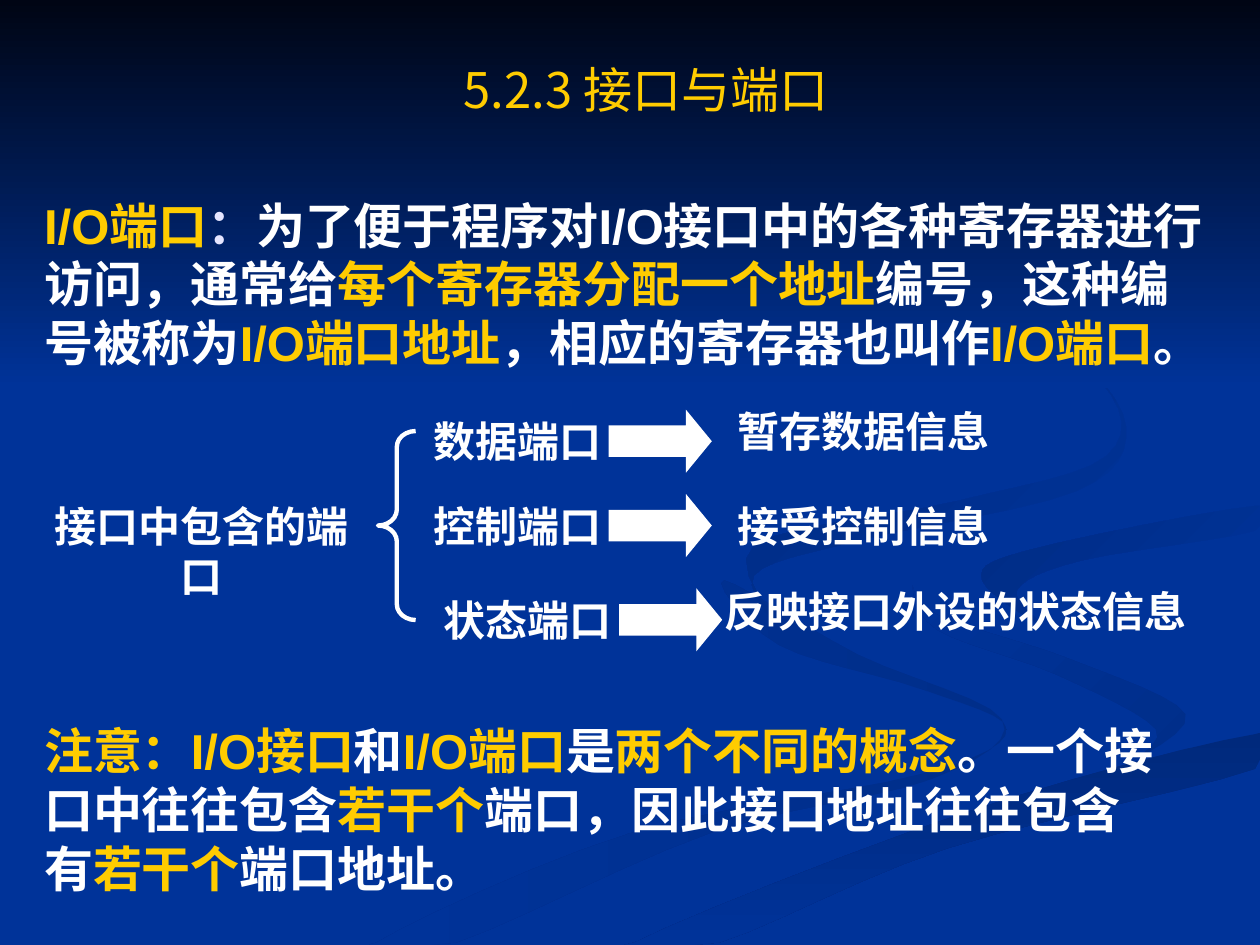
from pptx import Presentation
from pptx.dml.color import RGBColor
from pptx.enum.shapes import MSO_SHAPE
from pptx.enum.text import MSO_AUTO_SIZE, PP_ALIGN
from pptx.util import Cm, Pt

BLUE, GOLD, WHITE, PALE = "003399", "FFCC00", "FFFFFF", "E5E5FF"
SLIDE_BOX = (0, 0, 25.4, 19.05)
CURVE_STEPS = 6

# Each ribbon: gradient start, gradient end, clockwise angle, outline in millimetres
RIBBONS = [
    ("002E8A", BLUE, 180, [
        (146, 117), (157, 130), (186, 139), (203, 147), (186, 156), (127, 168),
        (76, 190), (92, 190), (143, 168), (188, 157), (202, 145), (173, 132)]),
    ("002E8A", BLUE, 225, [
        (184, 118), (189, 127), (213, 136), (233, 147), (227, 154), (239, 144),
        (216, 133), (189, 124)]),
    ("00297C", BLUE, 90, [
        (128, 190), (145, 190), (191, 171), (253, 155), (253, 148), (194, 164)]),
    (BLUE, "002C85", 225, [
        (198, 117), (210, 126), (205, 119), (218, 113), (253, 107), (253, 102),
        (207, 111)]),
    (BLUE, "002B81", 225, [
        (173, 109), (217, 99), (227, 86), (215, 70), (194, 59), (222, 77),
        (223, 92), (193, 101), (152, 110), (158, 127), (152, 116)]),
]

DEFINITION = [
    ("I/O端口", GOLD), ("：", PALE),
    ("为了便于程序对I/O接口中的各种寄存器进行访问，通常给", WHITE),
    ("每个寄存器分配一个地址", GOLD), ("编号，这种编号被称为", WHITE),
    ("I/O端口地址", GOLD), ("，相应的寄存器也叫作", WHITE),
    ("I/O端口", GOLD), ("。", WHITE)]

CAUTION = [
    ("注意：I/O接口", GOLD), ("和", WHITE), ("I/O端口", GOLD), ("是", WHITE),
    ("两个不同的概念", GOLD), ("。一个接口中往往包含", WHITE), ("若干个", GOLD),
    ("端口，因此接口地址往往包含有", WHITE), ("若干个", GOLD), ("端口地址。", WHITE)]

# Port, row top, shift of port and arrow, meaning, its left, top and width
PORTS = [
    ("数据端口", 0.21, 0, "暂存数据信息", 13.24, 0, 7.49),
    ("控制端口", 1.91, 0, "接受控制信息", 13.24, 1.91, 7.49),
    ("状态端口", 3.81, 0.21, "反映接口外设的状态信息", 12.98, 3.63, 11.71)]


def color(value):
    return RGBColor.from_string(value)


def fill_gradient(shape, start, end, angle):
    shape.fill.gradient()
    shape.fill.gradient_angle = (360 - angle) % 360
    for stop, value, position in zip(shape.fill.gradient_stops, (start, end), (0, 1)):
        stop.color.rgb = color(value)
        stop.position = position
    shape.line.fill.background()


def smooth_outline(points, limits):
    def blend(a, b, c, d, t):
        return b + t * (c - a + t * (2 * a - 5 * b + 4 * c - d + t * (3 * (b - c) + d - a))) / 2

    outline = []
    for index in range(len(points)):
        corners = [points[(index + offset) % len(points)] for offset in (-1, 0, 1, 2)]
        for step in range(CURVE_STEPS):
            outline.append(tuple(
                Cm(min(blend(*axis, step / CURVE_STEPS) / 10, limit))
                for axis, limit in zip(zip(*corners), limits)))
    return outline


def add_preset(slide, kind, box):
    shape = slide.shapes.add_shape(kind, *map(Cm, box))
    shape.shadow.inherit = False
    return shape


def add_text(slide, box, segments, size, name="Arial", bold=True, centered=False, wrap=True):
    frame = slide.shapes.add_textbox(*map(Cm, box)).text_frame
    frame.word_wrap = wrap
    frame.auto_size = MSO_AUTO_SIZE.SHAPE_TO_FIT_TEXT
    paragraph = frame.paragraphs[0]
    paragraph.alignment = PP_ALIGN.CENTER if centered else PP_ALIGN.LEFT
    paragraph.font.size = Pt(size)
    paragraph.font.name = name
    paragraph.font.bold = bold
    for text, value in segments:
        run = paragraph.add_run()
        run.text = text
        run.font.color.rgb = color(value)


def draw_backdrop(slide, box):
    left, top, width, height = box
    slide.background.fill.solid()
    slide.background.fill.fore_color.rgb = color(BLUE)
    for start, end, angle, points in RIBBONS:
        outline = smooth_outline(points, (width, height))
        builder = slide.shapes.build_freeform(*outline[0])
        builder.add_line_segments(outline[1:], close=True)
        ribbon = builder.convert_to_shape(Cm(left), Cm(top))
        ribbon.shadow.inherit = False
        fill_gradient(ribbon, start, end, angle)
    band = add_preset(slide, MSO_SHAPE.RECTANGLE, (left, top, width, 7.82))
    fill_gradient(band, "000514", BLUE, 90)


def draw_ports(slide, box):
    left, top, _, _ = box

    def label(text, x, y, width):
        add_text(slide, (left + x, top + y, width, 1.27), [(text, WHITE)], 24,
                 centered=True, wrap=False)

    label("接口中包含的端口", 0, 1.91, 7.26)
    brace = add_preset(slide, MSO_SHAPE.LEFT_BRACE, (left + 7.19, top + 0.64, 0.76, 3.81))
    brace.adjustments[0] = 0.42
    brace.fill.background()
    brace.line.color.rgb = color(WHITE)
    brace.line.width = Pt(2.5)
    for port, row, shift, meaning, x, y, width in PORTS:
        label(port, 8.05 + shift, row, 3.89)
        arrow = add_preset(slide, MSO_SHAPE.RIGHT_ARROW,
                           (left + 11.84 + shift, top + row, 2.08, 1.27))
        arrow.adjustments[1] = 0.41
        arrow.fill.solid()
        arrow.fill.fore_color.rgb = color(WHITE)
        arrow.line.fill.background()
        label(meaning, x, y, width)


def main():
    presentation = Presentation()
    presentation.slide_width = Cm(SLIDE_BOX[2])
    presentation.slide_height = Cm(SLIDE_BOX[3])
    slide = presentation.slides.add_slide(presentation.slide_layouts[6])
    draw_backdrop(slide, SLIDE_BOX)
    add_text(slide, (0.64, 3.81, 24.13, 5), DEFINITION, 28)
    add_text(slide, (0.64, 14.4, 23.06, 3.81), CAUTION, 28)
    draw_ports(slide, (0.43, 8.05, 24.69, 5.08))
    add_text(slide, (1.27, 1.07, 23.5, 1.45), [("5.2.3 接口与端口", GOLD)], 28,
             name="Noto Sans CJK SC", bold=False, centered=True)
    presentation.save("out.pptx")


if __name__ == "__main__":
    main()
